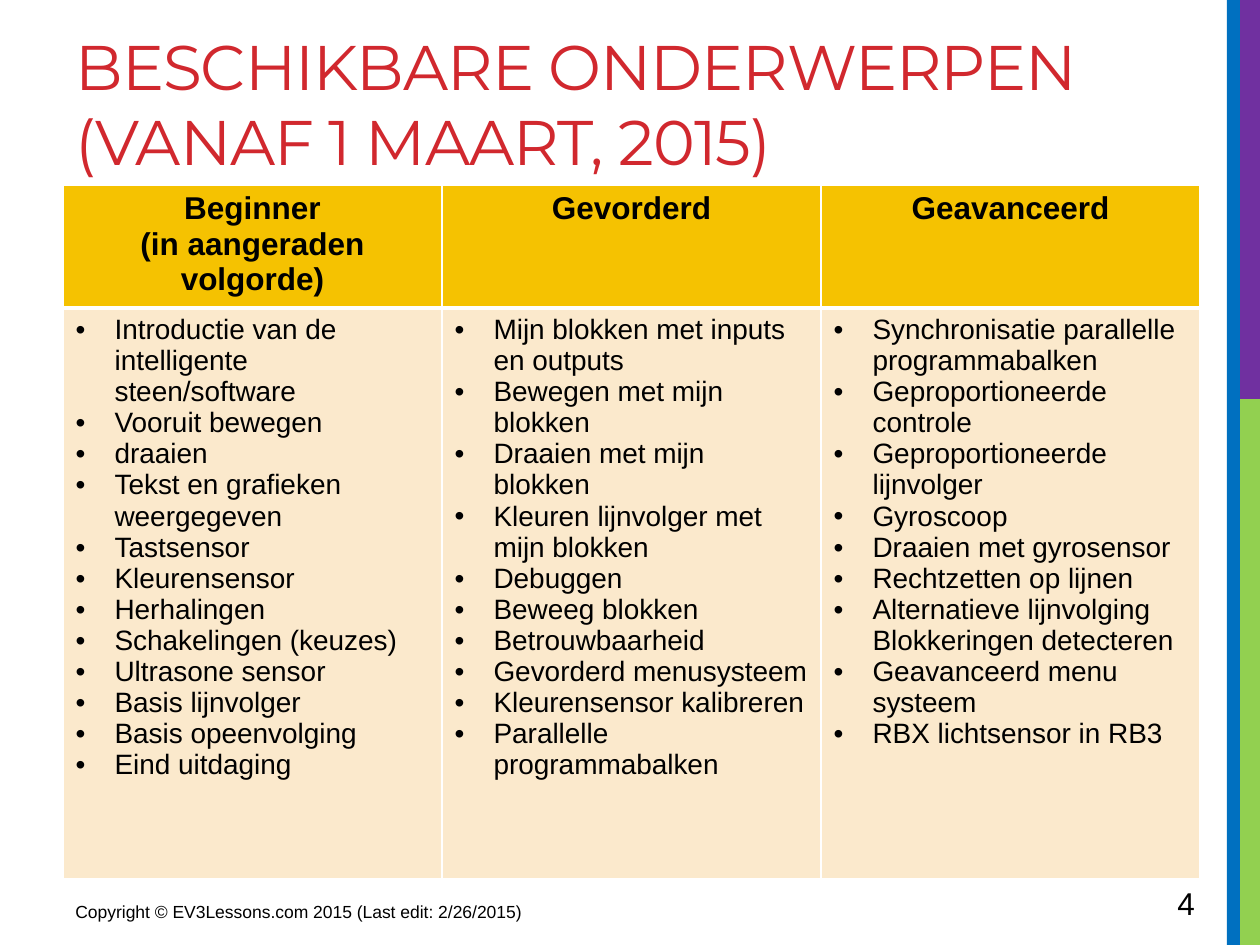
from dataclasses import dataclass

from lxml import etree
from pptx import Presentation
from pptx.dml.color import RGBColor
from pptx.enum.shapes import MSO_SHAPE
from pptx.enum.text import MSO_ANCHOR, MSO_AUTO_SIZE, PP_ALIGN
from pptx.oxml.ns import qn
from pptx.util import Emu, Pt

RECTANGLE = MSO_SHAPE.RECTANGLE
TOP = MSO_ANCHOR.TOP
NO_AUTOFIT = MSO_AUTO_SIZE.NONE
LEFT, CENTER = PP_ALIGN.LEFT, PP_ALIGN.CENTER
TITLE_ONLY = 5
EMU_PER_PX = 914400 / 126


@dataclass(frozen=True)
class Theme:
    title_font: str = "Montserrat"
    body_font: str = "Arial"
    title: str = "D1282E"
    text: str = "000000"
    header_fill: str = "F5C201"
    body_fill: str = "FBE9CC"
    border: str = "FFFFFF"
    green: str = "92D050"
    purple: str = "7030A0"
    blue: str = "0070C0"
    title_size: int = 36
    header_size: int = 18
    topic_size: int = 16
    footer_size: int = 10
    number_size: int = 18


THEME = Theme()

TOPICS = {
    ("Beginner", "(in aangeraden volgorde)"): [
        "Introductie van de intelligente steen/software",
        "Vooruit bewegen",
        "draaien",
        "Tekst en grafieken weergegeven",
        "Tastsensor",
        "Kleurensensor",
        "Herhalingen",
        "Schakelingen (keuzes)",
        "Ultrasone sensor",
        "Basis lijnvolger",
        "Basis opeenvolging",
        "Eind uitdaging",
    ],
    ("Gevorderd",): [
        "Mijn blokken met inputs en outputs",
        "Bewegen met mijn blokken",
        "Draaien met mijn blokken",
        "Kleuren lijnvolger met mijn blokken",
        "Debuggen",
        "Beweeg blokken",
        "Betrouwbaarheid",
        "Gevorderd menusysteem",
        "Kleurensensor kalibreren",
        "Parallelle programmabalken",
    ],
    ("Geavanceerd",): [
        "Synchronisatie parallelle programmabalken",
        "Geproportioneerde controle",
        "Geproportioneerde lijnvolger",
        "Gyroscoop",
        "Draaien met gyrosensor",
        "Rechtzetten op lijnen",
        "Alternatieve lijnvolging Blokkeringen detecteren",
        "Geavanceerd menu systeem",
        "RBX lichtsensor in RB3",
    ],
}


def px(value):
    return Emu(round(value * EMU_PER_PX))


def add_run(paragraph, text, size, color=THEME.text, font=THEME.body_font, bold=False):
    run = paragraph.add_run()
    run.text = text
    run.font.name = font
    run.font.size = Pt(size)
    run.font.bold = bold
    run.font.color.rgb = RGBColor.from_string(color)
    return run


def add_bar(slide, left, top, width, height, color):
    bar = slide.shapes.add_shape(RECTANGLE, px(left), px(top), px(width), px(height))
    bar.shadow.inherit = False
    bar.fill.solid()
    bar.fill.fore_color.rgb = RGBColor.from_string(color)
    bar.line.fill.background()


def set_title(slide, text):
    title = slide.shapes.title
    title.left, title.top, title.width, title.height = px(63), px(21), px(1137), px(189)
    frame = title.text_frame
    frame.word_wrap = True
    frame.auto_size = NO_AUTOFIT
    frame.vertical_anchor = TOP
    paragraph = frame.paragraphs[0]
    paragraph.alignment = LEFT
    run = add_run(paragraph, text, THEME.title_size, THEME.title, THEME.title_font)
    run.font._element.set("spc", "-60")


def add_text(slide, left, top, width, height, text, size):
    box = slide.shapes.add_textbox(px(left), px(top), px(width), px(height))
    box.text_frame.word_wrap = True
    add_run(box.text_frame.paragraphs[0], text, size)


def add_bullet(paragraph):
    properties = paragraph._p.get_or_add_pPr()
    properties.set("marL", str(px(39)))
    properties.set("indent", str(-px(39)))
    etree.SubElement(properties, qn("a:buFont"), typeface=THEME.body_font)
    etree.SubElement(properties, qn("a:buChar"), char="•")


def style_cell(cell, fill, top_width, bottom_width):
    """Give the cell its borders, in points, and then its fill."""
    properties = cell._tc.get_or_add_tcPr()
    for tag, width in (("lnL", 1), ("lnR", 1), ("lnT", top_width), ("lnB", bottom_width)):
        line = etree.SubElement(properties, qn(f"a:{tag}"), w=str(Pt(width)))
        solid = etree.SubElement(line, qn("a:solidFill"))
        etree.SubElement(solid, qn("a:srgbClr"), val=THEME.border)
    cell.fill.solid()
    cell.fill.fore_color.rgb = RGBColor.from_string(fill)


def fill_cell(cell, lines, size, is_header):
    frame = cell.text_frame
    for index, line in enumerate(lines):
        paragraph = frame.add_paragraph() if index else frame.paragraphs[0]
        paragraph.alignment = CENTER if is_header else LEFT
        if not is_header:
            add_bullet(paragraph)
        add_run(paragraph, line, size, bold=is_header)


def add_topic_table(slide):
    row_heights = (123, 571)
    frame = slide.shapes.add_table(
        len(row_heights), len(TOPICS), px(63), px(185), px(1137), px(sum(row_heights))
    )
    table = frame.table
    for row, height in zip(table.rows, row_heights):
        row.height = px(height)
    for index, (heading, topics) in enumerate(TOPICS.items()):
        table.columns[index].width = px(379)
        header, body = table.cell(0, index), table.cell(1, index)
        style_cell(header, THEME.header_fill, 1, 3)
        fill_cell(header, heading, THEME.header_size, True)
        style_cell(body, THEME.body_fill, 3, 1)
        fill_cell(body, topics, THEME.topic_size, False)


def main():
    presentation = Presentation()
    presentation.slide_width, presentation.slide_height = px(1260), px(945)
    slide = presentation.slides.add_slide(presentation.slide_layouts[TITLE_ONLY])
    add_bar(slide, 1240, 399, 20, 546, THEME.green)
    add_bar(slide, 1235, 0, 25, 399, THEME.purple)
    add_bar(slide, 1227, 0, 13, 945, THEME.blue)
    set_title(slide, "BESCHIKBARE ONDERWERPEN (VANAF 1 MAART, 2015)")
    add_topic_table(slide)
    add_text(slide, 63, 895, 472, 39,
             "Copyright © EV3Lessons.com 2015 (Last edit: 2/26/2015)", THEME.footer_size)
    add_text(slide, 1165, 878, 87, 50, "4", THEME.number_size)
    presentation.save("out.pptx")


if __name__ == "__main__":
    main()
